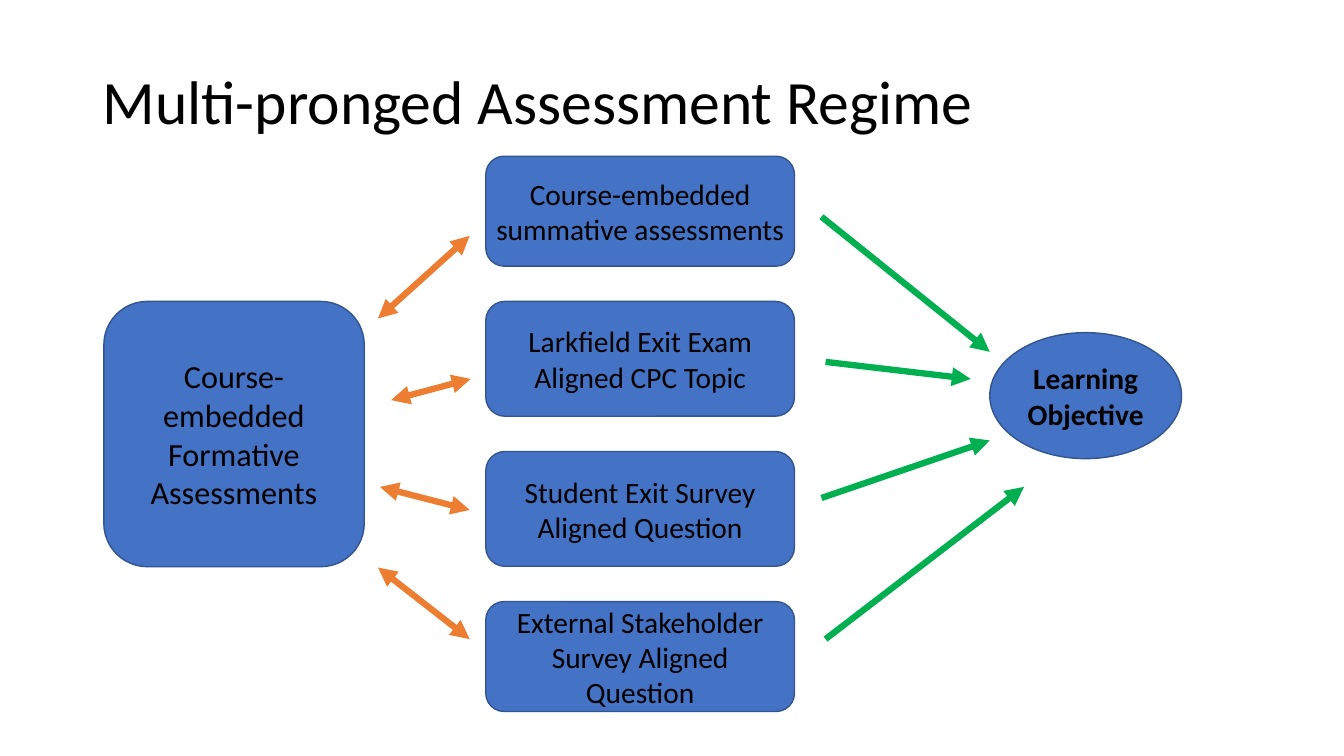
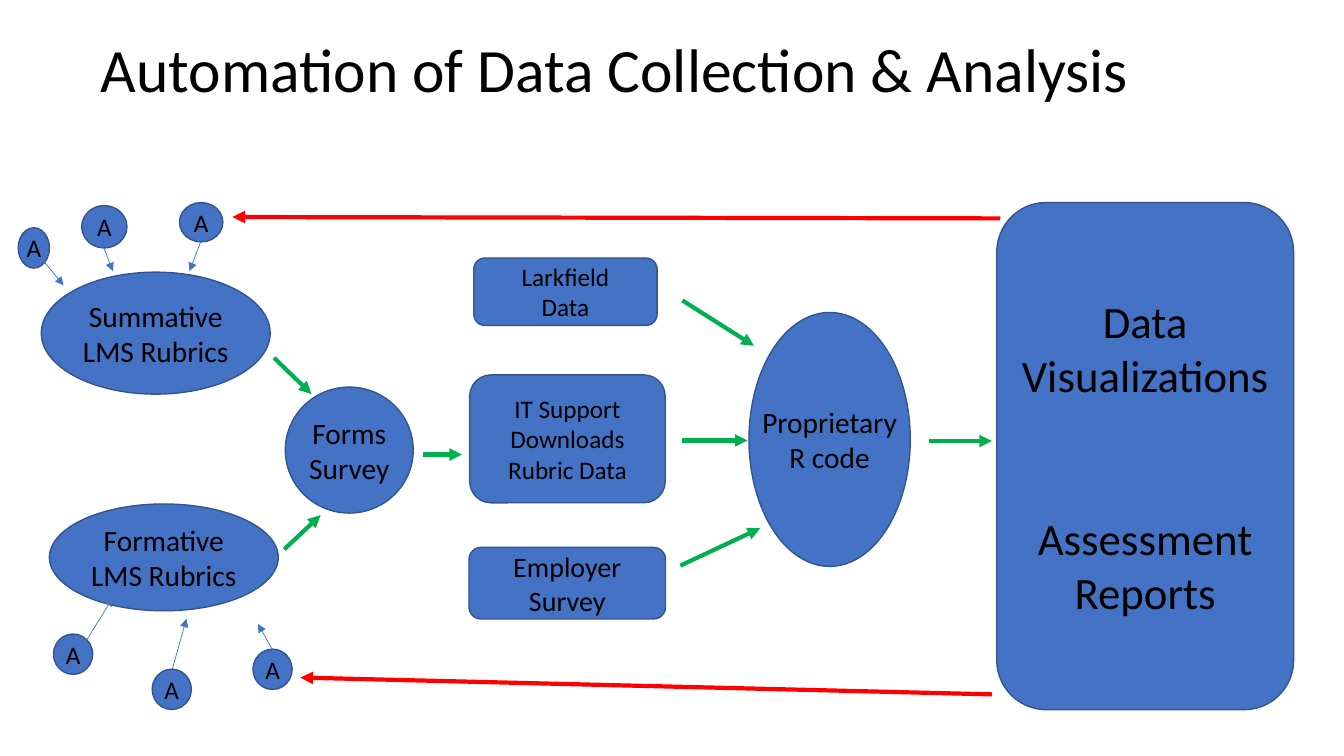
from pptx import Presentation
from pptx.dml.color import RGBColor
from pptx.enum.shapes import MSO_CONNECTOR, MSO_SHAPE
from pptx.enum.text import MSO_ANCHOR, MSO_AUTO_SIZE, PP_ALIGN
from pptx.oxml.ns import qn
from pptx.util import Pt
from lxml.etree import SubElement

FONT = "Calibri"
BLACK = "000000"
BLUE = "4472C4"
OUTLINE = "325491"
ORANGE = "ED7D31"
GREEN = "00B050"
RED = "FF0000"
BOX = MSO_SHAPE.ROUNDED_RECTANGLE
OVAL = MSO_SHAPE.OVAL


def paint(color, value):
    color.rgb = RGBColor.from_string(value)


def write(tf, lines, size=21, bold=False, align=PP_ALIGN.CENTER, spacing=1.0,
          gap=0, inset=None, wrap=True):
    tf.auto_size = MSO_AUTO_SIZE.NONE
    tf.word_wrap = wrap
    tf.vertical_anchor = MSO_ANCHOR.MIDDLE
    if inset is not None:
        tf.margin_left = tf.margin_right = Pt(inset)
        tf.margin_top = tf.margin_bottom = 0
    for i, line in enumerate(lines):
        p = tf.add_paragraph() if i else tf.paragraphs[0]
        p.text = line
        p.alignment = align
        p.line_spacing = spacing
        if i and gap:
            p.space_before = Pt(gap)
        for r in p.runs:
            r.font.name = FONT
            r.font.size = Pt(size)
            r.font.bold = bold
            paint(r.font.color, BLACK)


def add_slide(prs, title, left, top, height):
    s = prs.slides.add_slide(prs.slide_layouts[5])
    sp = s.shapes.title
    sp.left, sp.top, sp.width, sp.height = Pt(left), Pt(top), Pt(828), Pt(height)
    write(sp.text_frame, [title], size=44, align=PP_ALIGN.LEFT, spacing=0.9)
    return s


def node(s, kind, bounds, *lines, inset=0, **fmt):
    sp = s.shapes.add_shape(kind, *map(Pt, bounds))
    sp.shadow.inherit = False
    sp.fill.solid()
    paint(sp.fill.fore_color, BLUE)
    sp.line.width = Pt(1)
    paint(sp.line.color, OUTLINE)
    write(sp.text_frame, lines, inset=inset, wrap=kind == BOX, **fmt)


def arrow(s, ends, color, width, both=False):
    c = s.shapes.add_connector(MSO_CONNECTOR.STRAIGHT, *map(Pt, ends))
    c.line.width = Pt(width)
    paint(c.line.color, color)
    ln = c.line._get_or_add_ln()
    for tag in ("a:headEnd", "a:tailEnd") if both else ("a:tailEnd",):
        SubElement(ln, qn(tag), type="triangle")
    SubElement(c._element.spPr, qn("a:effectLst"))


def arrows(s, color, width, *routes, both=False):
    for ends in routes:
        arrow(s, ends, color, width, both)


def regime_slide(prs):
    s = add_slide(prs, "Multi-pronged Assessment Regime", 66, 28.8, 91.5)
    node(s, OVAL, (707, 237.6, 137, 90), "Learning\vObjective", bold=True)
    measures = [
        (78.5, 0, ["Course-embedded summative assessments"]),
        (82, 8, ["Larkfield Exit Exam", "Aligned CPC Topic"]),
        (82, 8, ["Student Exit Survey Aligned Question"]),
        (78.5, 12, ["External Stakeholder", "Survey Aligned Question"]),
    ]
    top = 111.6
    for height, inset, lines in measures:
        node(s, BOX, (347, top, 220.5, height), *lines, inset=inset)
        top += height + 25.2
    node(s, BOX, (74.2, 215.3, 186, 189.5),
         "Course-embedded Formative Assessments", size=23, inset=20)
    arrows(s, ORANGE, 4.5,
           (270, 227.5, 335.5, 168.5), (279.4, 285.8, 336.2, 270.7),
           (271.4, 347.8, 335.5, 364.3), (270, 405.4, 335.5, 456.5), both=True)
    arrows(s, GREEN, 4.5,
           (586.8, 154.8, 707, 251.3), (589.7, 258.5, 693.4, 270.7),
           (586.8, 355.7, 707, 314.6), (589.7, 456.5, 731.5, 347.8))


def automation_slide(prs):
    s = add_slide(prs, "Automation of Data Collection & Analysis", 64.8, 5, 94.3)
    node(s, BOX, (712, 144.7, 212, 362.2), "Data Visualizations",
         "Assessment\vReports", size=32, gap=78)
    node(s, OVAL, (29.5, 194.4, 163.5, 87.1), "Summative", "LMS Rubrics")
    node(s, OVAL, (35.3, 360, 163.5, 76.3), "Formative", "LMS Rubrics")
    node(s, OVAL, (203.8, 276.5, 91.4, 90), "Forms\vSurvey")
    node(s, BOX, (338.4, 184.3, 131, 48.2), "Larkfield", "Data", size=18)
    node(s, BOX, (335.5, 267.8, 139.7, 91.4), "IT Support",
         "Downloads Rubric Data", size=18, inset=8)
    node(s, BOX, (335, 391, 140.4, 51.1), "Employer", "Survey", size=20)
    node(s, OVAL, (535, 223.2, 115.2, 181.4), "Proprietary\vR code")
    for bounds in [
        (13, 162.7, 22.3, 28.8), (58.3, 146.9, 32.4, 30.2),
        (128.2, 144.7, 31, 28.1), (38.2, 452.9, 28, 28.8),
        (108.7, 478, 28, 28.8), (180.7, 463.7, 28, 28.8),
    ]:
        node(s, OVAL, bounds, "A", size=18)
    arrows(s, BLUE, 0.5,
           (31.7, 187.2, 45.4, 203.8), (74.2, 177.1, 80.6, 193.7),
           (143.3, 172.8, 135.4, 193.7), (61.9, 457.2, 80.6, 427),
           (123.1, 478, 133.2, 442), (194.4, 463.7, 184.3, 445.7))
    arrows(s, GREEN, 3,
           (195.8, 255.6, 222.5, 281.5), (203, 392.4, 229, 368),
           (302.4, 324.7, 330, 324.7), (487.4, 214.6, 538.6, 247),
           (487.4, 314.6, 534, 314.6), (486, 404, 543, 377.3),
           (663.4, 315, 708.5, 315))
    arrows(s, RED, 3,
           (714.5, 156, 166, 155), (708.5, 496, 214.6, 484))


def main():
    prs = Presentation()
    prs.slide_width, prs.slide_height = Pt(960), Pt(540)
    regime_slide(prs)
    automation_slide(prs)
    prs.save("out.pptx")


if __name__ == "__main__":
    main()
